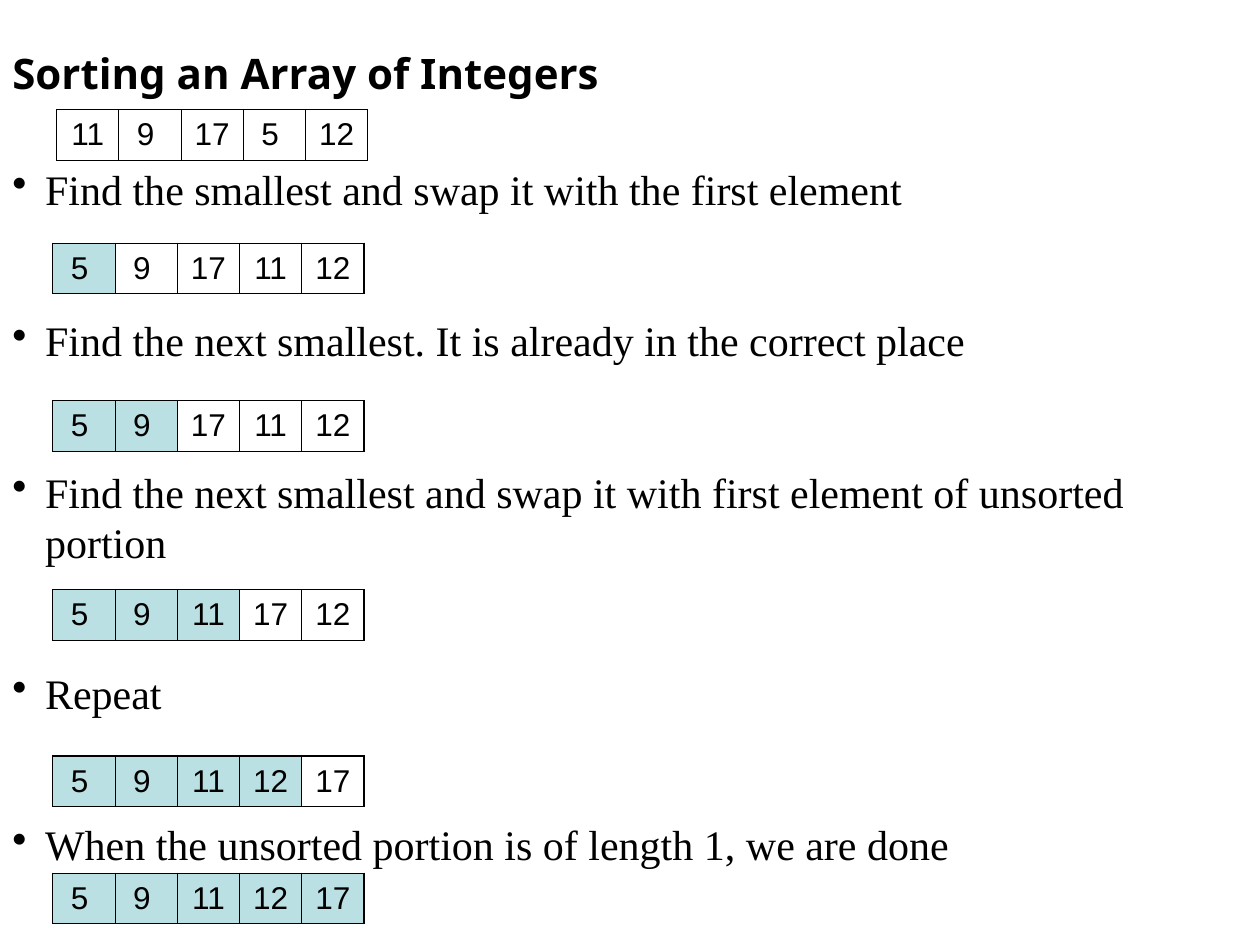
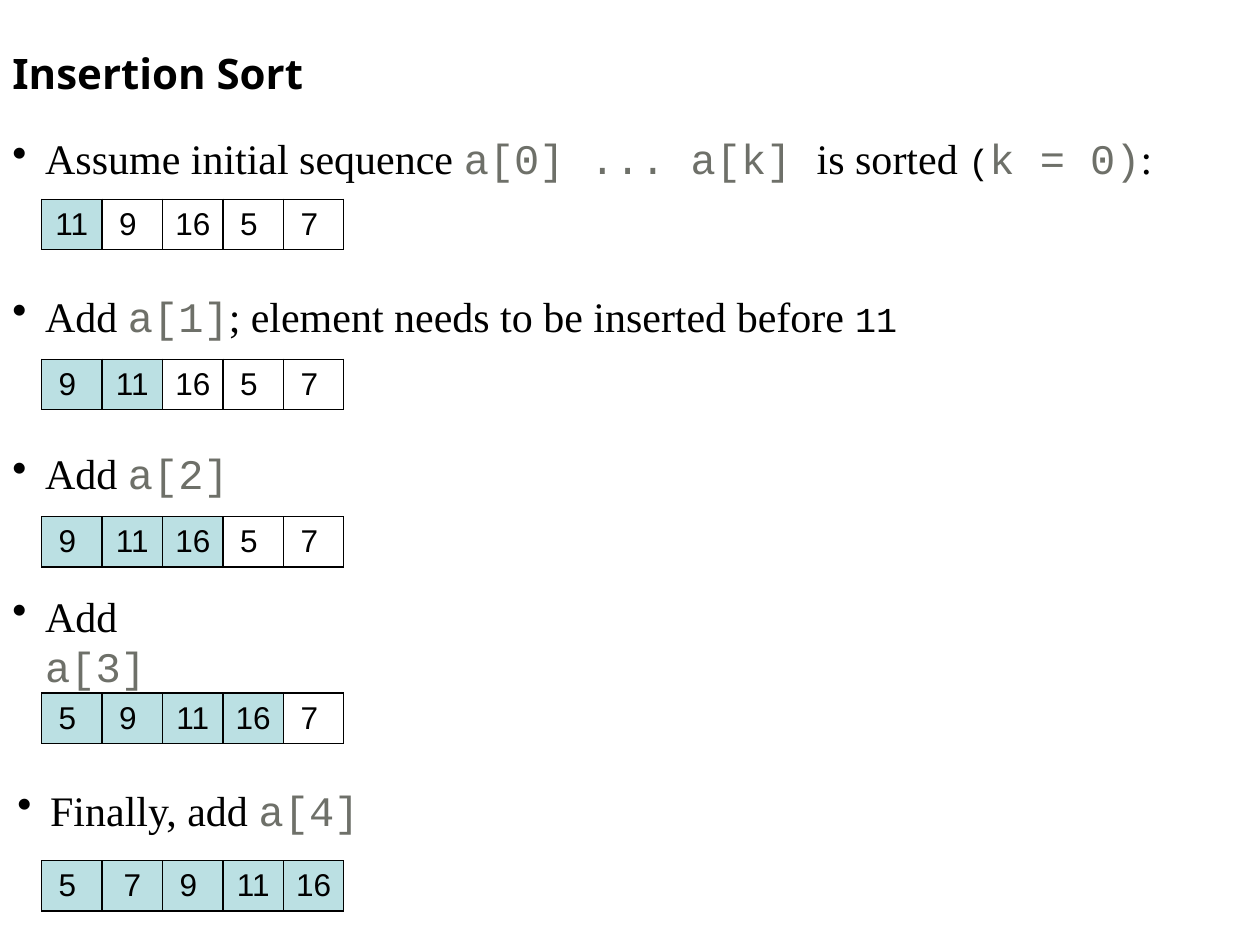
"""Build two slides that trace sorting an array step by step."""
from dataclasses import dataclass

from lxml.etree import SubElement
from pptx import Presentation
from pptx.dml.color import RGBColor
from pptx.enum.text import MSO_ANCHOR, MSO_AUTO_SIZE, PP_ALIGN
from pptx.oxml.ns import qn
from pptx.util import Inches, Pt


@dataclass(frozen=True)
class Theme:
    """Colours, fonts and type sizes shared by the slides."""
    ink: RGBColor = RGBColor.from_string("000000")
    code_ink: RGBColor = RGBColor.from_string("6E7069")
    sorted_fill: RGBColor = RGBColor.from_string("BBE0E3")
    title_font: str = "Noto Sans"
    body_font: str = "Times New Roman"
    code_font: str = "Courier New"
    cell_font: str = "Arial"
    text_size: Pt = Pt(24)
    literal_size: Pt = Pt(20)
    cell_size: Pt = Pt(18)
    line_pitch: Pt = Pt(28.8)
    border: Pt = Pt(0.75)


THEME = Theme()
STYLES = {
    "title": {"name": THEME.title_font, "size": THEME.text_size, "bold": True},
    "body": {"name": THEME.body_font, "size": THEME.text_size},
    "code": {"name": THEME.code_font, "size": THEME.text_size, "color": THEME.code_ink},
    "literal": {"name": THEME.code_font, "size": THEME.literal_size},
    "cell": {"name": THEME.cell_font, "size": THEME.cell_size},
}
ROW_HEIGHT = 0.4


def apply_style(font, style):
    """Set the font attributes of a named style."""
    values = {"color": THEME.ink, **STYLES[style]}
    font.color.rgb = values.pop("color")
    for name, value in values.items():
        setattr(font, name, value)


def add_spans(paragraph, spans):
    """Write (text, style) spans into a paragraph."""
    for text, style in spans:
        span = paragraph.add_run()
        span.text = text
        apply_style(span.font, style)


def add_box(page, left, top, width, height, anchor=MSO_ANCHOR.TOP):
    """Add a wrapping text box and return its text frame."""
    box = page.shapes.add_textbox(*map(Inches, (left, top, width, height)))
    settings = {"word_wrap": True, "auto_size": MSO_AUTO_SIZE.SHAPE_TO_FIT_TEXT,
                "vertical_anchor": anchor}
    for name, value in settings.items():
        setattr(box.text_frame, name, value)
    return box.text_frame


def add_title(page, text):
    """Add the slide title."""
    frame = add_box(page, 0, 0.33, 7.67, 0.5)
    add_spans(frame.paragraphs[0], [(text, "title")])


def write_bullet(paragraph, spans):
    """Write one bullet with a hanging indent."""
    properties = paragraph._p.get_or_add_pPr()
    properties.set("marL", str(Inches(0.26)))
    properties.set("indent", str(Inches(-0.26)))
    SubElement(properties, qn("a:buChar")).set("char", "•")
    paragraph.line_spacing = THEME.line_pitch
    add_spans(paragraph, spans)


def add_bullet_list(page, texts, top, height):
    """Add a full-width list with two lines of space between bullets."""
    frame = add_box(page, 0, top, 10, height)
    for index, text in enumerate(texts):
        paragraph = frame.add_paragraph() if index else frame.paragraphs[0]
        write_bullet(paragraph, [(text, "body")])
        if index:
            paragraph.space_before = 2 * THEME.line_pitch


def add_step(page, left, top, width, spans):
    """Add a single bullet in its own box."""
    frame = add_box(page, left, top, width, 0.51, MSO_ANCHOR.MIDDLE)
    write_bullet(frame.paragraphs[0], spans)


def add_borders(cell):
    """Draw a thin line on all four sides of a cell."""
    properties = cell._tc.get_or_add_tcPr()
    for side in "LRTB":
        line = SubElement(properties, qn(f"a:ln{side}"))
        line.set("w", str(THEME.border))
        fill = SubElement(line, qn("a:solidFill"))
        SubElement(fill, qn("a:srgbClr")).set("val", str(THEME.ink))


def add_array(page, left, top, column_width, numbers, sorted_count, snug=()):
    """Add a one-row array whose first sorted_count cells are shaded."""
    size = (left, top, column_width * len(numbers), ROW_HEIGHT)
    table = page.shapes.add_table(1, len(numbers), *map(Inches, size)).table
    table.first_row = table.horz_banding = False
    for index, number in enumerate(numbers):
        table.columns[index].width = Inches(column_width)
        cell = table.cell(0, index)
        add_borders(cell)
        if index < sorted_count:
            cell.fill.solid()
            cell.fill.fore_color.rgb = THEME.sorted_fill
        else:
            cell.fill.background()
        cell.vertical_anchor = MSO_ANCHOR.MIDDLE
        paragraph = cell.text_frame.paragraphs[0]
        paragraph.alignment = PP_ALIGN.CENTER
        text = str(number) if index in snug else f"{number} "
        add_spans(paragraph, [(text, "cell")])


def build_selection_slide(page):
    """Show sorting by repeatedly picking the smallest element."""
    add_title(page, "Sorting an Array of Integers")
    add_bullet_list(page, [
        "Find the smallest and swap it with the first element",
        "Find the next smallest. It is already in the correct place",
        "Find the next smallest and swap it with first element of unsorted portion",
        "Repeat",
        "When the unsorted portion is of length 1, we are done",
    ], 1.25, 5.69)
    stages = [
        (1.93, [5, 9, 17, 11, 12]),
        (3.18, [5, 9, 17, 11, 12]),
        (4.68, [5, 9, 11, 17, 12]),
        (6, [5, 9, 11, 12, 17]),
        (6.93, [5, 9, 11, 12, 17]),
    ]
    for sorted_count, (top, numbers) in enumerate(stages, 1):
        add_array(page, 0.42, top, 0.494, numbers, sorted_count)
    add_array(page, 0.45, 0.87, 0.494, [11, 9, 17, 5, 12], 0)


def build_insertion_slide(page):
    """Show insertion sort growing its sorted front part."""
    add_title(page, "Insertion Sort")
    steps = [
        (0, 1, 10, [("Assume initial sequence ", "body"), ("a[0] ... a[k] ", "code"),
                    ("is sorted ", "body"), ("(", "literal"), ("k = 0)", "code"),
                    (":", "body")]),
        (0, 2.25, 8.05, [("Add ", "body"), ("a[1]", "code"),
                         ("; element needs to be inserted before ", "body"),
                         ("11", "literal")]),
        (0, 3.5, 1.95, [("Add ", "body"), ("a[2]", "code")]),
        (0, 4.83, 1.87, [("Add ", "body"), ("a[3]", "code")]),
        (0.04, 6.17, 2.97, [("Finally, add ", "body"), ("a[4]", "code")]),
    ]
    arrays = [
        (1.58, [11, 9, 16, 5, 7], ()),
        (2.85, [9, 11, 16, 5, 7], ()),
        (4.1, [9, 11, 16, 5, 7], ()),
        (5.5, [5, 9, 11, 16, 7], ()),
        (6.83, [5, 7, 9, 11, 16], (1, 3, 4)),
    ]
    for sorted_count, (step, array) in enumerate(zip(steps, arrays), 1):
        add_step(page, *step)
        top, numbers, snug = array
        add_array(page, 0.33, top, 0.48, numbers, sorted_count, snug)


def main():
    """Build and save the deck."""
    deck = Presentation()
    deck.slide_width, deck.slide_height = Inches(10), Inches(7.5)
    for build in (build_selection_slide, build_insertion_slide):
        build(deck.slides.add_slide(deck.slide_layouts[6]))
    deck.save("out.pptx")


if __name__ == "__main__":
    main()
